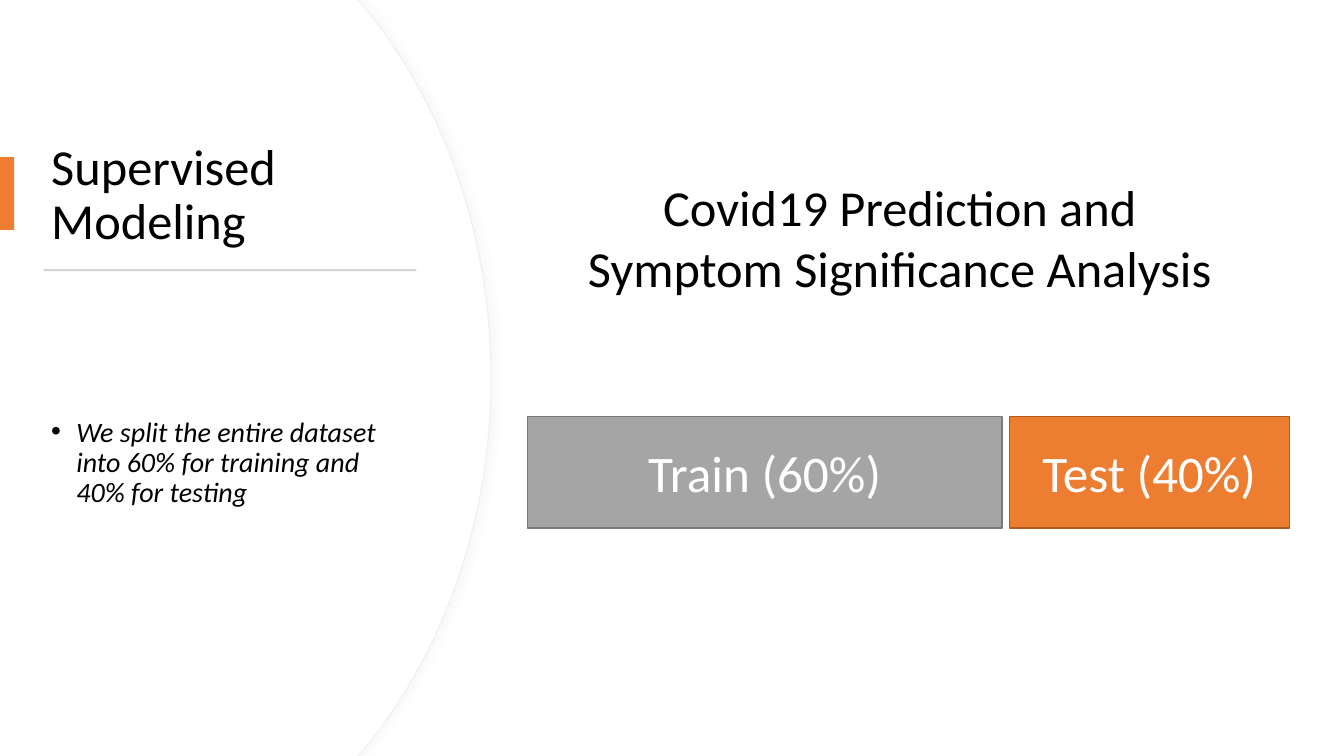
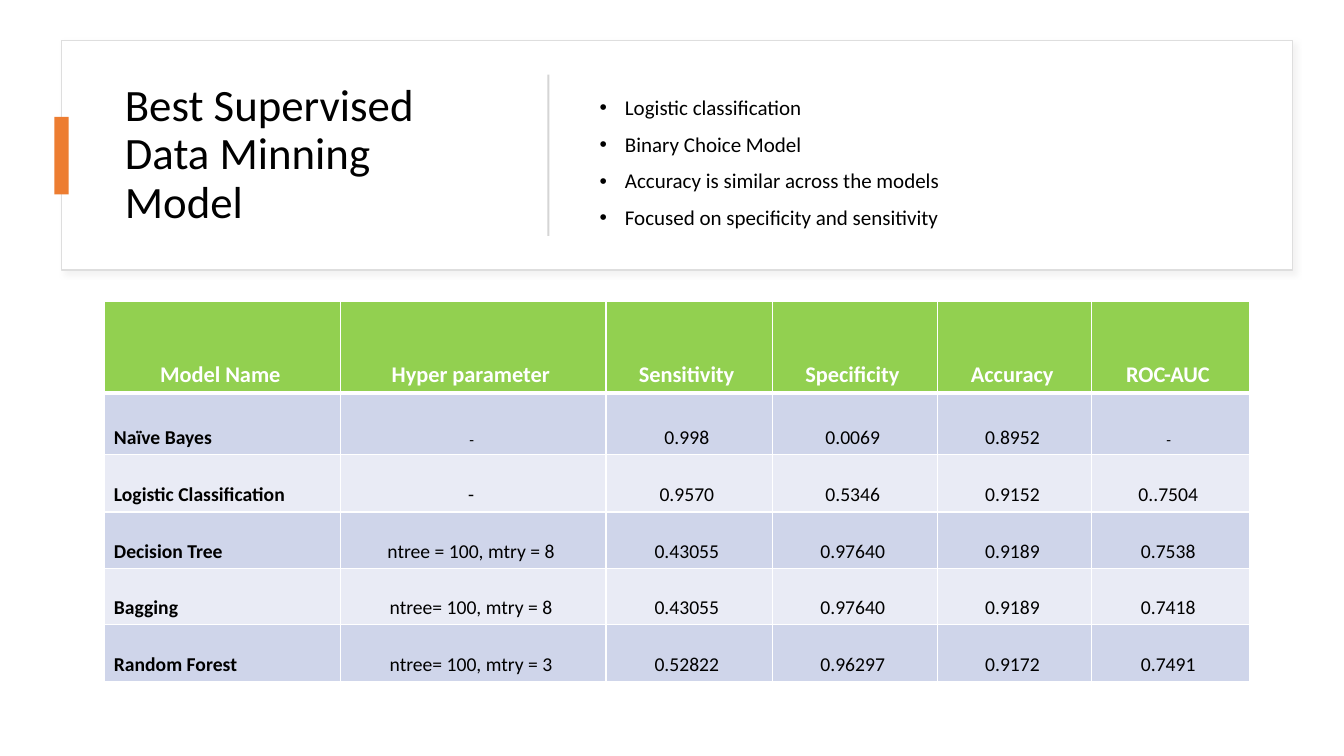
from pptx import Presentation
from pptx.dml.color import RGBColor
from pptx.enum.shapes import MSO_SHAPE
from pptx.enum.text import MSO_ANCHOR, PP_ALIGN
from pptx.oxml.ns import qn
from pptx.util import Inches, Pt
from lxml import etree

RECT = MSO_SHAPE.RECTANGLE
LEFT, CENTER = PP_ALIGN.LEFT, PP_ALIGN.CENTER
TOP, MIDDLE, BOTTOM = MSO_ANCHOR.TOP, MSO_ANCHOR.MIDDLE, MSO_ANCHOR.BOTTOM
FONT = "Calibri"
NBSP = "\u00a0"
COLORS = {
    "text": "000000", "white": "FFFFFF", "accent": "ED7D31", "accent_edge": "AF5C24",
    "train": "A5A5A5", "train_edge": "7A7A7A", "rule": "D5D5D5",
    "panel_edge": "EFEFEF", "panel_shadow": "D9D9D9",
    "card_edge": "DEDEDE", "card_shadow": "C5C3C3",
    "header": "92D050", "band_dark": "CFD5EA", "band_light": "E9EBF5",
}
BULLET_INDENT = Inches(0.25)

HEADERS = ["Model Name", "Hyper parameter", "Sensitivity", "Specificity", "Accuracy", "ROC-AUC"]
MODELS = [
    ["Naïve Bayes", "-", "0.998", "0.0069", "0.8952", "-"],
    ["Logistic Classification", "-", "0.9570", "0.5346", "0.9152", "0..7504"],
    ["Decision Tree", "ntree = 100, mtry = 8", "0.43055", "0.97640", "0.9189", "0.7538"],
    ["Bagging", "ntree= 100, mtry = 8", "0.43055", "0.97640", "0.9189", "0.7418"],
    ["Random Forest", "ntree= 100, mtry = 3", "0.52822", "0.96297", "0.9172", "0.7491"],
]
COLUMN_WIDTHS = [2.34, 2.63, 1.65, 1.64, 1.53, 1.56]
ROW_HEIGHTS = [0.91, 0.61, 0.57] + [0.56] * 3


def rgb(name):
    return RGBColor.from_string(COLORS[name])


# Text
def write(frame, lines, size=18, color="text", bold=False, italic=False,
          align=LEFT, spacing=1.0, before=0, bullets=False):
    for index, line in enumerate(lines):
        paragraph = frame.paragraphs[0] if index == 0 else frame.add_paragraph()
        paragraph.alignment = align
        paragraph.line_spacing = spacing
        paragraph.space_before = Pt(before if index else 0)
        if bullets:
            properties = paragraph._p.get_or_add_pPr()
            properties.set("marL", str(BULLET_INDENT))
            properties.set("indent", str(-BULLET_INDENT))
            etree.SubElement(properties, qn("a:buFont")).set("typeface", "Arial")
            etree.SubElement(properties, qn("a:buChar")).set("char", "•")
        run = paragraph.add_run()
        run.text = line
        font = run.font
        font.name, font.size = FONT, Pt(size)
        font.bold, font.italic = bold, italic
        font.color.rgb = rgb(color)


def text_box(slide, box, lines, anchor=TOP, inset_top=0.05, inset_right=0.1, **style):
    frame = slide.shapes.add_textbox(*map(Inches, box)).text_frame
    frame.word_wrap = True
    frame.vertical_anchor = anchor
    frame.margin_top = Inches(inset_top)
    frame.margin_right = Inches(inset_right)
    write(frame, lines, **style)


def title(slide, box, text, size):
    text_box(slide, box, [text], anchor=MIDDLE, inset_right=0.3, size=size, spacing=0.9)


def bullet_list(slide, box, lines, **style):
    text_box(slide, box, lines, anchor=MIDDLE, spacing=0.9, before=10, bullets=True, **style)


# Shapes
def paint(shape, fill, edge=None, edge_width=1):
    shape.shadow.inherit = False
    shape.fill.solid()
    shape.fill.fore_color.rgb = rgb(fill)
    if edge:
        shape.line.color.rgb = rgb(edge)
        shape.line.width = Pt(edge_width)
    else:
        shape.line.fill.background()


def cast_shadow(shape, color, blur, distance, angle):
    effects = shape._element.spPr.find(qn("a:effectLst"))
    shadow = etree.SubElement(effects, qn("a:outerShdw"), blurRad=str(Pt(blur)),
                              dist=str(Pt(distance)), dir=str(angle * 60000),
                              algn="tl", rotWithShape="0")
    tint = etree.SubElement(shadow, qn("a:srgbClr"), val=COLORS[color])
    etree.SubElement(tint, qn("a:alpha"), val="20000")


def block(slide, box, fill, edge=None):
    shape = slide.shapes.add_shape(RECT, *map(Inches, box))
    paint(shape, fill, edge)
    return shape


def split_bar(slide, left, width, label, fill, edge):
    frame = block(slide, (left, 4.13, width, 1.11), fill, edge).text_frame
    frame.vertical_anchor = MIDDLE
    write(frame, [label], size=36.6, color="white", align=CENTER)


def bend(segments):
    """Turn three straight segments into one cubic curve through their points."""
    curve = etree.Element(qn("a:cubicBezTo"))
    segments[0].addprevious(curve)
    for segment in segments:
        curve.append(segment[0])
        segment.getparent().remove(segment)


def curved_panel(slide, right, edge=None):
    # The lower half of the bulge mirrors the upper half.
    upper = [(right - 1.32, 0), (right - 1.25, 0.08), (right - 0.48, 1.02), (right, 2.32)]
    lower = [(x, 7.5 - y) for x, y in reversed(upper)]
    outline = upper + [(right, 3.75)] + lower + [(0, 7.5)]
    builder = slide.shapes.build_freeform(0, 0, scale=1.0)
    builder.add_line_segments([(Inches(x), Inches(y)) for x, y in outline], close=True)
    panel = builder.convert_to_shape()
    segments = list(panel._element.iter(qn("a:lnTo")))
    bend(segments[2:5])
    bend(segments[5:8])
    paint(panel, "white", edge, 0.75)
    return panel


# Table
def cell_borders(cell, **widths):
    properties = cell._tc.get_or_add_tcPr()
    for side in "LRTB":
        line = etree.SubElement(properties, qn("a:ln" + side), w=str(Pt(widths.get(side, 1))))
        fill = etree.SubElement(line, qn("a:solidFill"))
        etree.SubElement(fill, qn("a:srgbClr"), val=COLORS["white"])


def fill_cell(cell, text, fill, borders, **style):
    cell_borders(cell, **borders)
    cell.fill.solid()
    cell.fill.fore_color.rgb = rgb(fill)
    cell.vertical_anchor = BOTTOM
    cell.margin_left = cell.margin_right = Inches(0.09)
    write(cell.text_frame, [text + NBSP], **style)


def model_table(slide, left, top):
    rows = [HEADERS] + MODELS
    box = (left, top, sum(COLUMN_WIDTHS), sum(ROW_HEIGHTS))
    table = slide.shapes.add_table(len(rows), len(HEADERS), *map(Inches, box)).table
    for column, width in zip(table.columns, COLUMN_WIDTHS):
        column.width = Inches(width)
    for r, values in enumerate(rows):
        table.rows[r].height = Inches(ROW_HEIGHTS[r])
        for c, value in enumerate(values):
            cell = table.cell(r, c)
            if r == 0:
                fill_cell(cell, value, "header", {"B": 3}, size=16, color="white",
                          bold=True, align=CENTER)
                continue
            fill_cell(cell, value, "band_dark" if r % 2 else "band_light",
                      {"T": 3} if r == 1 else {},
                      size=11 if r == 1 and value == "-" else 14,
                      bold=c == 0, align=CENTER if c else LEFT)


# Slides
def supervised_modeling(slide):
    panel = curved_panel(slide, 4.87, "panel_edge")
    cast_shadow(panel, "panel_shadow", 7, 3, 0)
    curved_panel(slide, 4.86)
    title(slide, (0.41, 1.27, 3.76, 1.35), "Supervised Modeling", 36)
    block(slide, (0, 1.56, 0.14, 0.72), "accent")
    block(slide, (0.43, 2.67, 3.7, 0.02), "rule")
    bullet_list(slide, (0.41, 3.63, 3.73, 1.72),
                ["We split the entire dataset into 60% for training and 40% for testing"],
                size=20, italic=True, inset_top=0.26)
    split_bar(slide, 5.23, 4.71, "Train (60%)", "train", "train_edge")
    split_bar(slide, 10.01, 2.78, "Test (40%)", "accent", "accent_edge")
    text_box(slide, (5.47, 1.7, 6.91, 2.12),
             ["Covid19 Prediction and Symptom Significance Analysis"], size=36, align=CENTER)


def best_model(slide):
    card = block(slide, (0.61, 0.4, 12.21, 2.28), "white", "card_edge")
    cast_shadow(card, "card_shadow", 4, 3, 45)
    title(slide, (1.14, 0.64, 3.89, 1.8), "Best Supervised Data Minning Model" + NBSP, 32)
    block(slide, (0.54, 1.16, 0.14, 0.77), "accent")
    block(slide, (5.43, 0.74, 0.02, 1.6), "rule")
    bullet_list(slide, (5.85, 0.64, 6.56, 1.8),
                ["Logistic classification", "Binary Choice Model",
                 "Accuracy is similar across the models",
                 "Focused on specificity and sensitivity"],
                size=15, inset_top=0.22)
    model_table(slide, 1.04, 2.99)


def main():
    deck = Presentation()
    deck.slide_width, deck.slide_height = Inches(13.33), Inches(7.5)
    blank = deck.slide_layouts[6]
    for build in (supervised_modeling, best_model):
        build(deck.slides.add_slide(blank))
    deck.save("out.pptx")


main()
